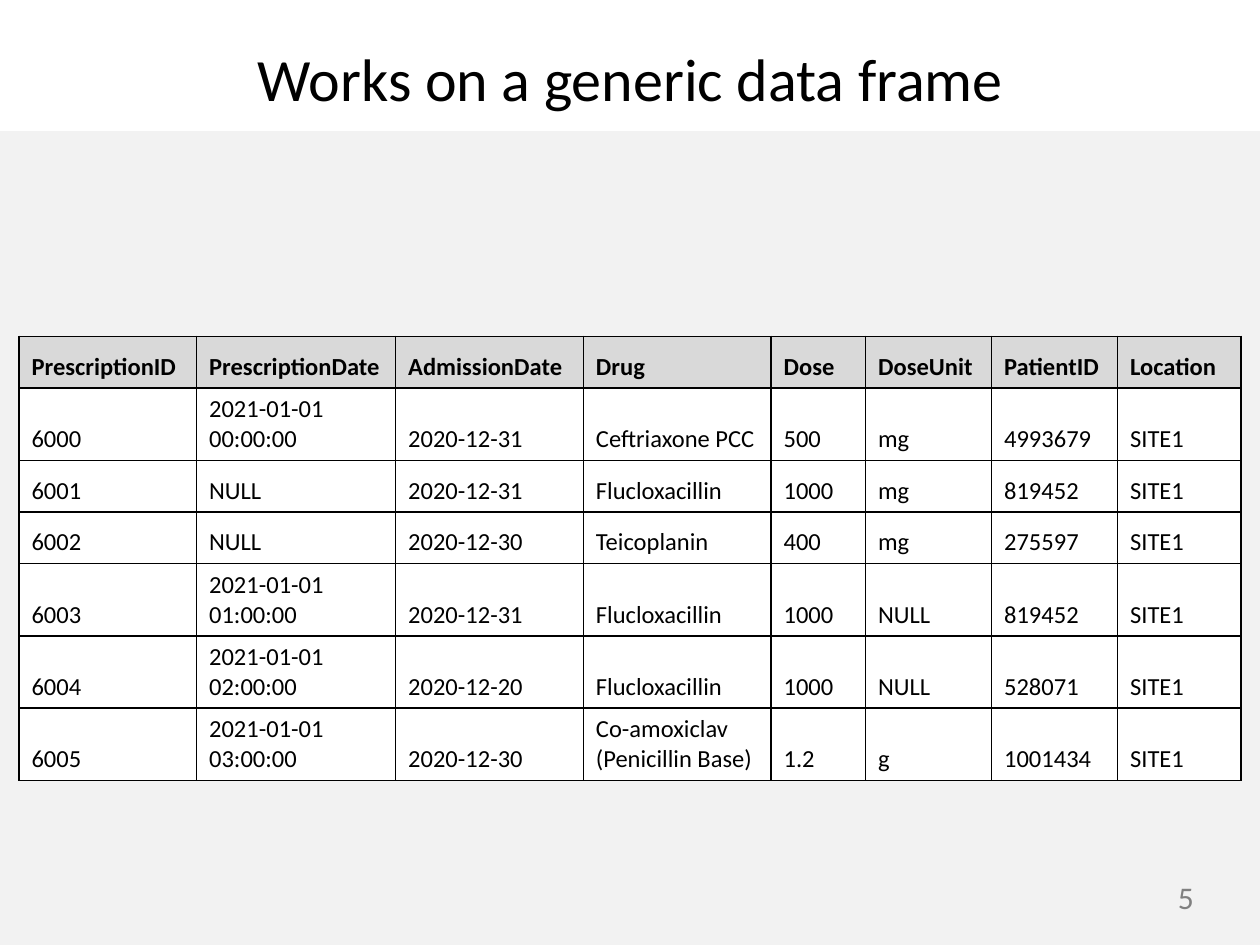
import pptx
import pptx.dml.color
import pptx.enum.shapes
import pptx.enum.text
import pptx.oxml
import pptx.oxml.ns
import pptx.util
from pptx.util import Inches

RGBColor = pptx.dml.color.RGBColor
Anchor = pptx.enum.text.MSO_ANCHOR
Align = pptx.enum.text.PP_ALIGN

BLACK = RGBColor(0x00, 0x00, 0x00)
WHITE = RGBColor(0xFF, 0xFF, 0xFF)
GRAY = RGBColor(0x80, 0x80, 0x80)
HEADER_GRAY = RGBColor(0xD9, 0xD9, 0xD9)
BACKGROUND = RGBColor(0xF2, 0xF2, 0xF2)
FONT = "Calibri"

COLUMN_WIDTHS = [1.41, 1.58, 1.49, 1.49, 0.75, 1, 1, 0.98]
PRESCRIPTIONS = [
    ["PrescriptionID", "PrescriptionDate", "AdmissionDate", "Drug",
     "Dose", "DoseUnit", "PatientID", "Location"],
    ["6000", "2021-01-01 00:00:00", "2020-12-31", "Ceftriaxone PCC",
     "500", "mg", "4993679", "SITE1"],
    ["6001", "NULL", "2020-12-31", "Flucloxacillin",
     "1000", "mg", "819452", "SITE1"],
    ["6002", "NULL", "2020-12-30", "Teicoplanin",
     "400", "mg", "275597", "SITE1"],
    ["6003", "2021-01-01 01:00:00", "2020-12-31", "Flucloxacillin",
     "1000", "NULL", "819452", "SITE1"],
    ["6004", "2021-01-01 02:00:00", "2020-12-20", "Flucloxacillin",
     "1000", "NULL", "528071", "SITE1"],
    ["6005", "2021-01-01 03:00:00", "2020-12-30",
     "Co-amoxiclav (Penicillin Base)", "1.2", "g", "1001434", "SITE1"],
]


def write_text(text_frame, text, size=14, color=BLACK, bold=False,
               align=Align.LEFT):
    """Fill a text frame with one formatted paragraph."""
    text_frame.word_wrap = True
    paragraph = text_frame.paragraphs[0]
    paragraph.alignment = align
    run = paragraph.add_run()
    run.text = text
    run.font.name = FONT
    run.font.size = pptx.util.Pt(size)
    run.font.bold = bold
    run.font.color.rgb = color


def add_borders(cell, color=BLACK, width=1):
    """Draw a solid line on all four sides of a cell."""
    properties = cell._tc.get_or_add_tcPr()
    namespace = pptx.oxml.ns.nsdecls("a")
    for index, side in enumerate(("lnL", "lnR", "lnT", "lnB")):
        border = pptx.oxml.parse_xml(
            f'<a:{side} {namespace} w="{pptx.util.Pt(width)}">'
            f'<a:solidFill><a:srgbClr val="{color}"/></a:solidFill>'
            f'</a:{side}>')
        properties.insert(index, border)


def add_header(slide, left, top, width, height, text):
    """Place the white band and the title centred on it."""
    band = slide.shapes.add_shape(
        pptx.enum.shapes.MSO_SHAPE.RECTANGLE, left, top, width, height)
    band.shadow.inherit = False
    band.fill.solid()
    band.fill.fore_color.rgb = WHITE
    band.line.fill.background()

    title = slide.shapes.title
    title._element.addprevious(band._element)
    title.left, title.top = left + Inches(0.69), top + Inches(0.25)
    title.width, title.height = Inches(8.63), Inches(0.73)
    title.text_frame.auto_size = pptx.enum.text.MSO_AUTO_SIZE.NONE
    title.text_frame.vertical_anchor = Anchor.MIDDLE
    write_text(title.text_frame, text, size=34.3, align=Align.CENTER)


def add_data_table(slide, left, top, row_height, column_widths, rows):
    """Place a bordered table whose first row is a shaded header."""
    total_width = Inches(sum(column_widths))
    table = slide.shapes.add_table(
        len(rows), len(column_widths), left, top,
        total_width, row_height * len(rows)).table
    for column, width in zip(table.columns, column_widths):
        column.width = Inches(width)
    for row_index, values in enumerate(rows):
        is_header = row_index == 0
        table.rows[row_index].height = row_height
        for column_index, value in enumerate(values):
            cell = table.cell(row_index, column_index)
            cell.vertical_anchor = Anchor.BOTTOM
            cell.fill.solid()
            cell.fill.fore_color.rgb = HEADER_GRAY if is_header else WHITE
            write_text(cell.text_frame, value, bold=is_header)
            add_borders(cell)


def add_page_number(slide, left, top, width, height, number):
    """Place the page number in its box."""
    box = slide.shapes.add_textbox(left, top, width, height)
    write_text(box.text_frame, str(number), size=18, color=GRAY)


def main():
    """Build the slide and save it."""
    presentation = pptx.Presentation()
    presentation.slide_width = Inches(10)
    presentation.slide_height = Inches(7.5)
    slide = presentation.slides.add_slide(presentation.slide_layouts[5])
    slide.background.fill.solid()
    slide.background.fill.fore_color.rgb = BACKGROUND

    add_header(slide, 0, 0, presentation.slide_width, Inches(1.04),
               "Works on a generic data frame")
    add_data_table(slide, Inches(0.15), Inches(2.67), Inches(0.41),
                   COLUMN_WIDTHS, PRESCRIPTIONS)
    add_page_number(slide, Inches(9.25), Inches(6.92),
                    Inches(0.5), Inches(0.42), 5)
    presentation.save("out.pptx")


main()
